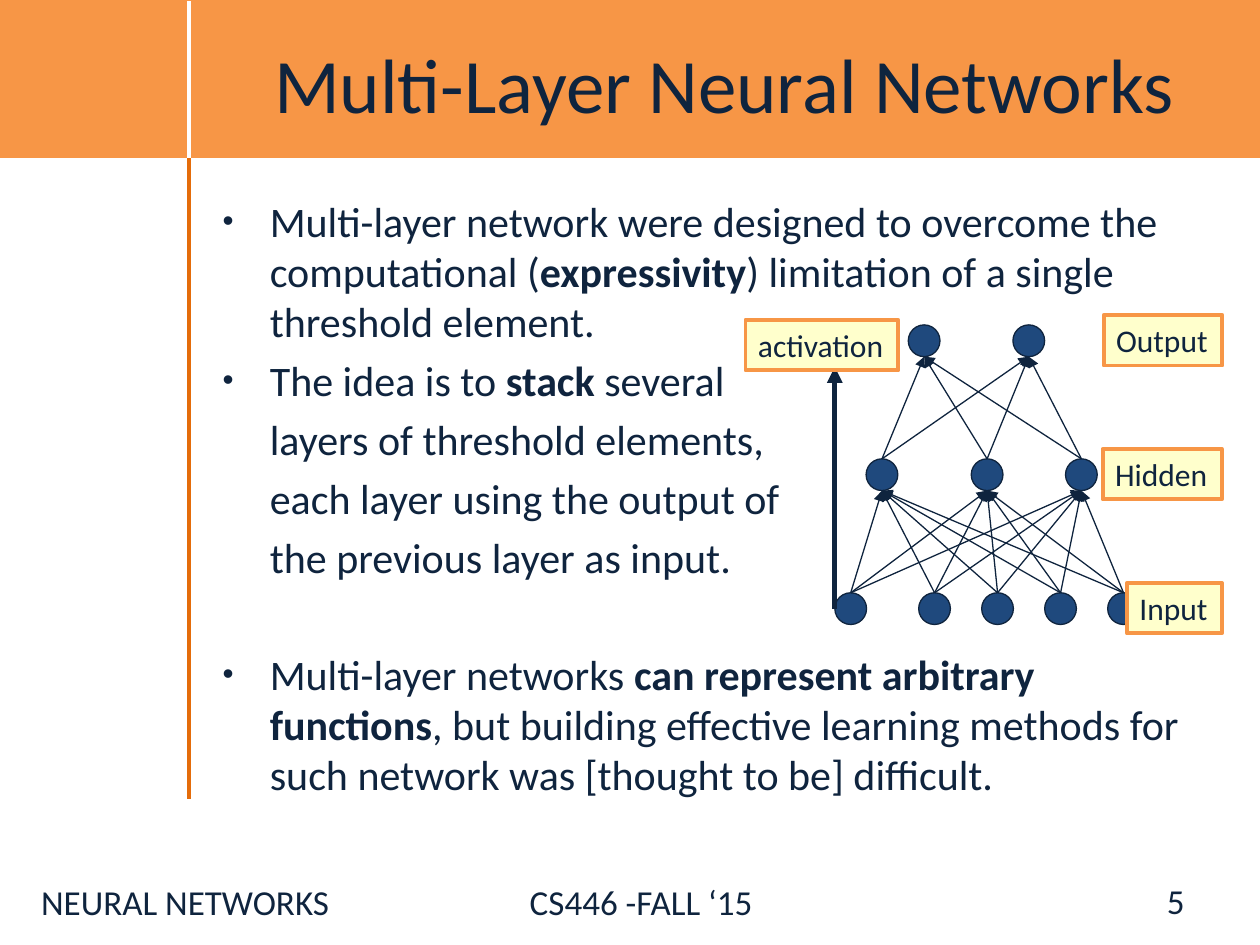
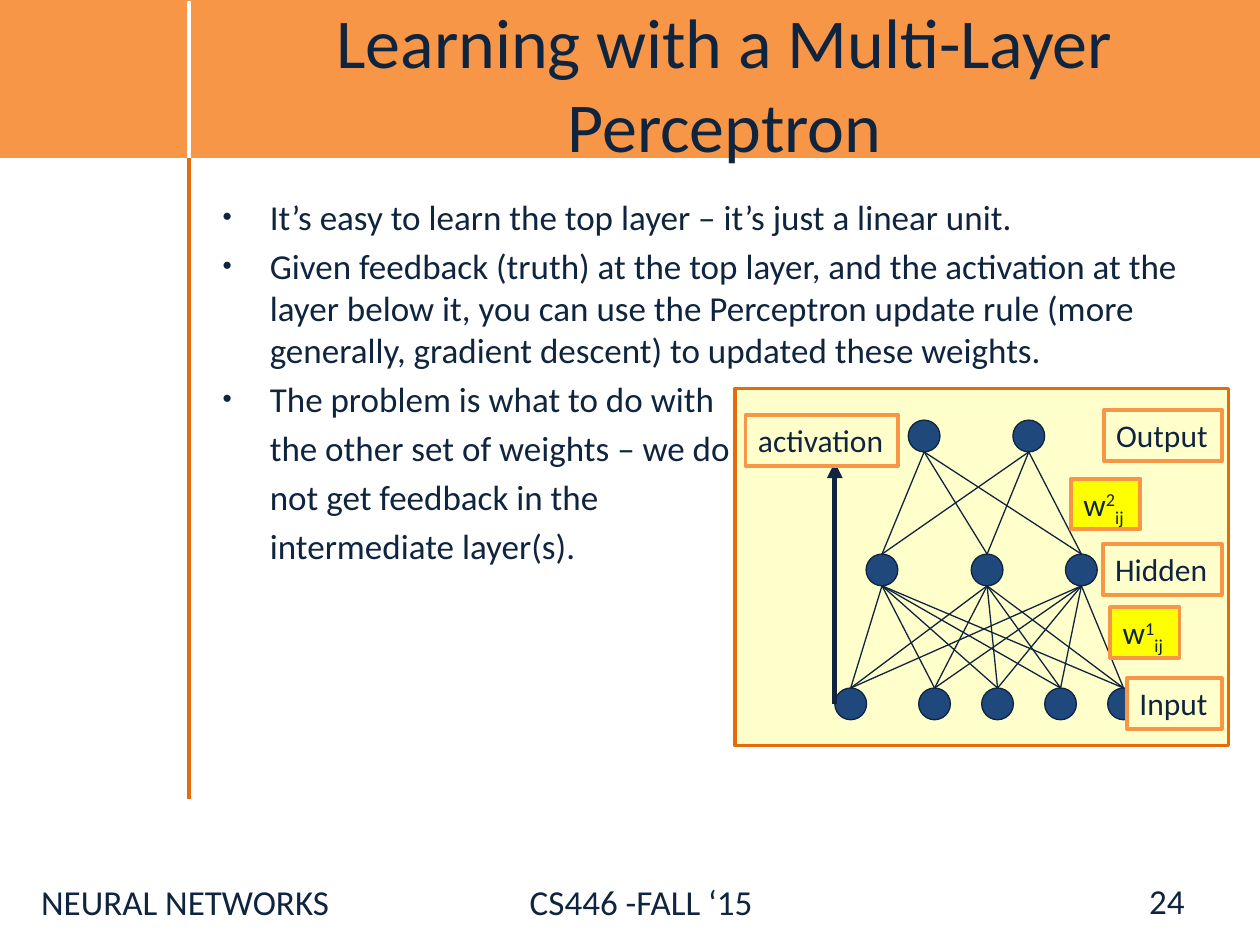
import itertools

import pptx
import pptx.dml.color
import pptx.enum.shapes
import pptx.enum.text
import pptx.oxml
import pptx.oxml.ns
import pptx.util

Cm = pptx.util.Cm
Pt = pptx.util.Pt
SHAPE = pptx.enum.shapes.MSO_SHAPE
ALIGN = pptx.enum.text.PP_ALIGN
ANCHOR = pptx.enum.text.MSO_ANCHOR

COLORS = {
    "text": "0F243E",
    "band": "F79646",
    "rule": "E46C0A",
    "white": "FFFFFF",
    "node": "1F497D",
    "label": "FFFFCC",
    "weight": "FFFF00",
}
FONT = "Calibri"
INDENT = Cm(0.95)
RULE_X = 3.81
BAND_HEIGHT = 3.18

NODE_SIZE = 0.64
LAYER_STEP = 2.7
# Node centres from the output layer down to the input layer
LAYERS = [
    [18.63, 20.74],
    [17.78, 19.9, 21.8],
    [17.15, 18.84, 20.11, 21.38, 22.65],
]


def rgb(name):
    return pptx.dml.color.RGBColor.from_string(COLORS[name])


def add_xml(parent, tag, **attrs):
    el = pptx.oxml.parse_xml(f"<a:{tag} {pptx.oxml.ns.nsdecls('a')}/>")
    for key, value in attrs.items():
        el.set(key, str(value))
    parent.append(el)
    return el


def format_run(r, size, bold=False):
    r.font.name = FONT
    r.font.size = Pt(size)
    r.font.bold = bold
    r.font.color.rgb = rgb("text")


def add_text(slide, x, y, w, h, text, size, align=ALIGN.LEFT, anchor=ANCHOR.TOP):
    tf = slide.shapes.add_textbox(Cm(x), Cm(y), Cm(w), Cm(h)).text_frame
    tf.word_wrap = True
    tf.vertical_anchor = anchor
    p = tf.paragraphs[0]
    p.text = text
    p.alignment = align
    for r in p.runs:
        format_run(r, size)
    return p


def add_box(slide, kind, x, y, w, h, fill, line, width):
    sp = slide.shapes.add_shape(kind, Cm(x), Cm(y), Cm(w), Cm(h))
    sp.shadow.inherit = False
    sp.fill.solid()
    sp.fill.fore_color.rgb = rgb(fill)
    sp.line.color.rgb = rgb(line)
    sp.line.width = Pt(width)
    return sp


def add_line(slide, x1, y1, x2, y2, color, width, arrow=False):
    cn = slide.shapes.add_connector(
        pptx.enum.shapes.MSO_CONNECTOR.STRAIGHT, Cm(x1), Cm(y1), Cm(x2), Cm(y2))
    cn.line.color.rgb = rgb(color)
    cn.line.width = Pt(width)
    if arrow:
        add_xml(cn.line._get_or_add_ln(), "tailEnd", type="triangle")
    add_xml(cn._element.spPr, "effectLst")


def add_label(slide, x, y, w, parts, fill="label"):
    """Draw a framed label; parts are (text, baseline shift in percent)."""
    sp = add_box(slide, SHAPE.RECTANGLE, x, y, w, 1.02, fill, "band", 2.25)
    tf = sp.text_frame
    tf.word_wrap = False
    tf.auto_size = pptx.enum.text.MSO_AUTO_SIZE.SHAPE_TO_FIT_TEXT
    tf.vertical_anchor = ANCHOR.TOP
    p = tf.paragraphs[0]
    p.alignment = ALIGN.LEFT
    for text, shift in parts:
        r = p.add_run()
        r.text = text
        format_run(r, 18)
        if shift:
            r._r.get_or_add_rPr().set("baseline", str(shift * 1000))


def add_weight(slide, x, y, layer):
    add_label(slide, x, y, 1.4, [("w", 0), (layer, 30), ("ij", -25)], "weight")


def add_body(slide, items, size):
    """Items are (style, text, space before or None); *stars* mark bold text."""
    tf = slide.shapes.add_textbox(Cm(4.24), Cm(3.81), Cm(19.89), Cm(12.57)).text_frame
    tf.word_wrap = True
    for i, (style, text, gap) in enumerate(items):
        p = tf.add_paragraph() if i else tf.paragraphs[0]
        if i:
            p.space_before = Pt(gap or 0.2 * size)
        pPr = p._p.get_or_add_pPr()
        pPr.set("marL", str(INDENT))
        if style == "bullet":
            pPr.set("indent", str(-INDENT))
            add_xml(pPr, "buSzPct", val=75000)
            add_xml(pPr, "buFont", typeface="Arial")
            add_xml(pPr, "buChar", char="•")
        for j, part in enumerate(text.split("*")):
            r = p.add_run()
            r.text = part
            format_run(r, size, bold=j % 2 == 1)


def add_network(slide, top, arrows):
    """Draw the three fully linked layers with the output nodes at height top."""
    tops = [top + i * LAYER_STEP for i in range(len(LAYERS))]
    for y, centres in zip(tops, LAYERS):
        for x in centres:
            add_box(slide, SHAPE.OVAL, x - NODE_SIZE / 2, y, NODE_SIZE, NODE_SIZE,
                    "node", "text", 0.75)
    for i in range(len(LAYERS) - 1):
        for upper, lower in itertools.product(LAYERS[i], LAYERS[i + 1]):
            add_line(slide, lower, tops[i + 1], upper, tops[i] + NODE_SIZE,
                     "text", 0.75, arrows)
    add_line(slide, 16.83, tops[2] + NODE_SIZE / 2, 16.83, top + 0.85, "text", 3, True)
    add_label(slide, 15.03, top - 0.1, 3.08, [("activation", 0)])
    labels = [("Output", 22.25, 2.39), ("Hidden", 22.23, 2.4), ("Input", 22.72, 1.91)]
    for y, (text, x, width) in zip(tops, labels):
        add_label(slide, x, y - 0.2, width, [(text, 0)])


def add_slide(prs, title, title_size, number):
    slide = prs.slides.add_slide(prs.slide_layouts[6])
    add_box(slide, SHAPE.RECTANGLE, 0, 0, 25.4, BAND_HEIGHT, "band", "band", 0.75)
    p = add_text(slide, 0.58, 17.63, 24.38, 1.42, "NEURAL NETWORKS\tCS446 -FALL ‘15", 20)
    tabs = add_xml(p._p.get_or_add_pPr(), "tabLst")
    add_xml(tabs, "tab", pos=Cm(9.85), algn="l")
    add_line(slide, RULE_X, BAND_HEIGHT, RULE_X, 16.1, "rule", 2.5)
    add_line(slide, RULE_X, 0.03, RULE_X, BAND_HEIGHT, "white", 2.5)
    add_text(slide, RULE_X, 0.08, 21.59, BAND_HEIGHT, title, title_size,
             ALIGN.CENTER, ANCHOR.MIDDLE)
    add_text(slide, 18.21, 17.65, 5.92, 1.02, number, 20, ALIGN.RIGHT, ANCHOR.MIDDLE)
    return slide


def build_networks_slide(prs):
    slide = add_slide(prs, "Multi-Layer Neural Networks", 44, "5")
    add_body(slide, [
        ("bullet", "Multi-layer network were designed to overcome the computational "
                   "(*expressivity*) limitation of a single threshold element.", None),
        ("bullet", "The idea is to *stack *several", None),
        ("plain", "layers of threshold elements,", None),
        ("plain", "each layer using the output of", None),
        ("plain", "the previous layer as input.", None),
        ("bullet", "Multi-layer networks *can represent arbitrary functions*, but building "
                   "effective learning methods for such network was [thought to be] "
                   "difficult.", 38),
    ], 24)
    add_network(slide, 6.55, arrows=True)


def build_learning_slide(prs):
    slide = add_slide(prs, "Learning with a Multi-Layer Perceptron", 40, "24")
    add_body(slide, [
        ("bullet", "It’s easy to learn the top layer – it’s just a linear unit.", None),
        ("bullet", "Given feedback (truth) at the top layer, and the activation at the "
                   "layer below it, you can use the Perceptron update rule (more "
                   "generally, gradient descent) to updated these weights.", None),
        ("bullet", "The problem is what to do with", None),
        ("plain", "the other set of weights – we do", None),
        ("plain", "not get feedback in the", None),
        ("plain", "intermediate layer(s).", None),
    ], 20)
    add_box(slide, SHAPE.RECTANGLE, 14.82, 7.83, 9.95, 7.2, "label", "rule", 2)
    add_network(slide, 8.47, arrows=False)
    add_weight(slide, 21.59, 9.65, "2")
    add_weight(slide, 22.38, 12.24, "1")


def main():
    prs = pptx.Presentation()
    prs.slide_width = Cm(25.4)
    prs.slide_height = Cm(19.05)
    build_networks_slide(prs)
    build_learning_slide(prs)
    prs.save("out.pptx")


if __name__ == "__main__":
    main()
